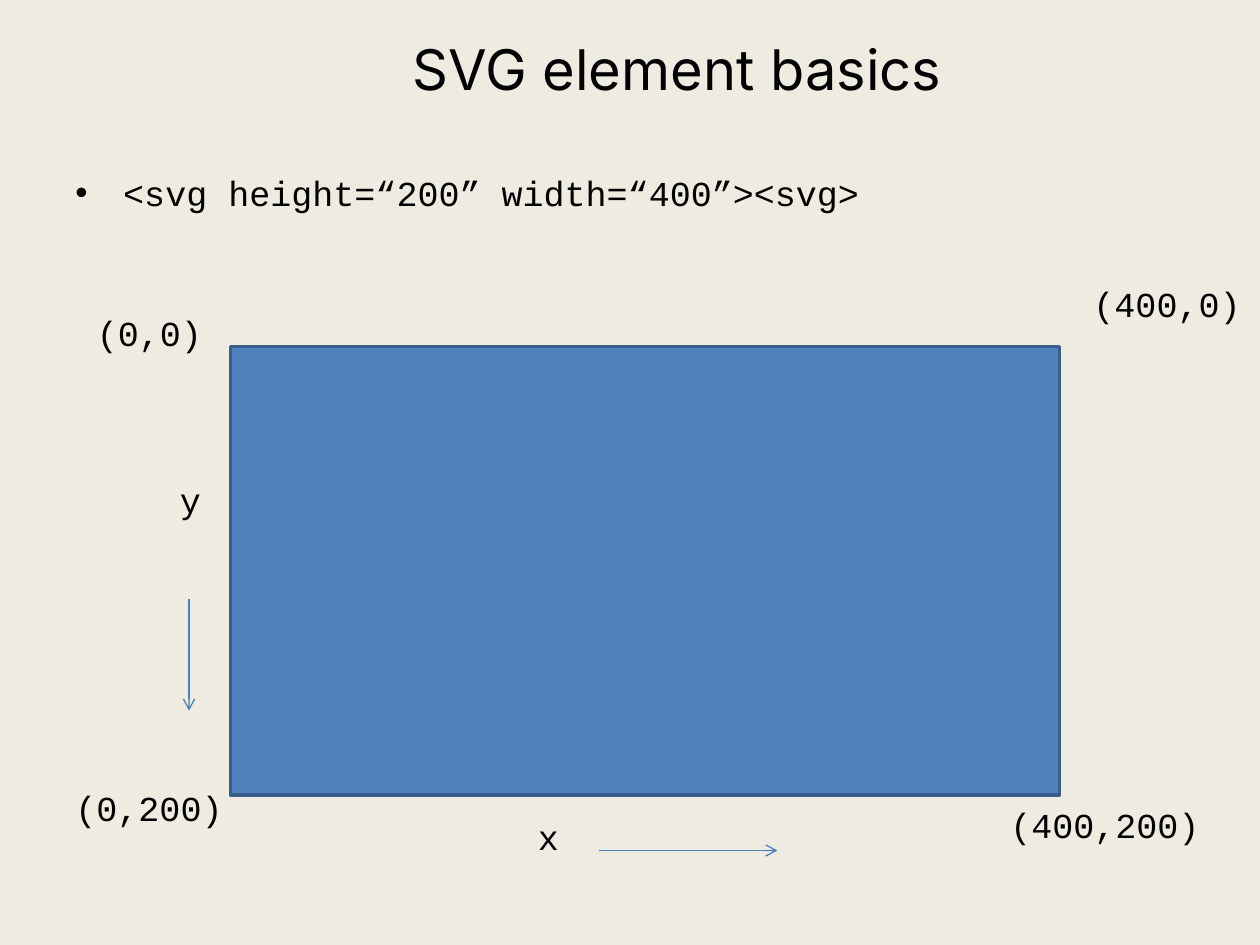
from dataclasses import dataclass
from lxml import etree
from pptx import Presentation
from pptx.dml.color import RGBColor as RGB
from pptx.enum.shapes import MSO_CONNECTOR as CONN, MSO_SHAPE as SHAPE
from pptx.enum.text import MSO_ANCHOR as ANCHOR, MSO_AUTO_SIZE as AUTO, PP_ALIGN as ALIGN
from pptx.oxml.ns import qn
from pptx.util import Inches, Pt


@dataclass(frozen=True)
class Theme:
    back: RGB = RGB.from_string("EEECE1")
    ink: RGB = RGB.from_string("000000")
    canvas: RGB = RGB.from_string("4F81BD")
    border: RGB = RGB.from_string("3A5F8C")
    arrow: RGB = RGB.from_string("4B7EBC")
    title_font: str = "Inter"
    code_font: str = "Courier New"
    title_size: Pt = Pt(32)
    code_size: Pt = Pt(20)


T = Theme()


def add_run(p, text, font, size):
    r = p.add_run()
    r.text = text
    r.font.name, r.font.size = font, size
    r.font.color.rgb = T.ink


def add_code(s, text, left, top, width, bullet=False):
    tf = s.shapes.add_textbox(Inches(left), Inches(top), Inches(width), Inches(0.89)).text_frame
    tf.word_wrap = True
    p = tf.paragraphs[0]
    p.space_before = Pt(4)
    pPr = p._p.get_or_add_pPr()
    pPr.set("marL", str(Inches(0.38)))
    pPr.set("indent", str(Inches(-0.38)))
    if bullet:
        etree.SubElement(pPr, qn("a:buFont")).set("typeface", "Arial")
        etree.SubElement(pPr, qn("a:buChar")).set("char", "•")
    else:
        etree.SubElement(pPr, qn("a:buNone"))
    add_run(p, text, T.code_font, T.code_size)


prs = Presentation()
prs.slide_width, prs.slide_height = Inches(10), Inches(7.5)
s = prs.slides.add_slide(prs.slide_layouts[5])
s.background.fill.solid()
s.background.fill.fore_color.rgb = T.back

title = s.shapes.title
title.left, title.top = Inches(1.25), Inches(0.11)
title.width, title.height = Inches(8.25), Inches(0.86)
tf = title.text_frame
tf.auto_size = AUTO.NONE
tf.vertical_anchor = ANCHOR.MIDDLE
p = tf.paragraphs[0]
p.alignment = ALIGN.CENTER
add_run(p, "SVG element basics", T.title_font, T.title_size)

add_code(s, "<svg height=“200” width=“400”><svg>", 0.5, 1.31, 9, bullet=True)

canvas = s.shapes.add_shape(SHAPE.RECTANGLE, Inches(1.83), Inches(2.75), Inches(6.58), Inches(3.56))
canvas.shadow.inherit = False
canvas.fill.solid()
canvas.fill.fore_color.rgb = T.canvas
canvas.line.color.rgb = T.border
canvas.line.width = Pt(2)

labels = [
    ("(0,0)", 0.67, 2.42, 1.08),
    ("(0,200)", 0.5, 6.19, 1.42),
    ("(400,0)", 8.58, 2.19, 1.42),
    ("(400,200)", 7.92, 6.33, 1.83),
    ("y", 1.33, 3.75, 0.5),
    ("x", 4.17, 6.42, 1.67),
]
for text, left, top, width in labels:
    add_code(s, text, left, top, width)

for ends in [(4.75, 6.75, 6.17, 6.75), (1.5, 4.75, 1.5, 5.64)]:
    axis = s.shapes.add_connector(CONN.STRAIGHT, *map(Inches, ends))
    axis.line.color.rgb = T.arrow
    axis.line.width = Pt(0.75)
    etree.SubElement(axis.line._get_or_add_ln(), qn("a:tailEnd")).set("type", "arrow")
    etree.SubElement(axis._element.spPr, qn("a:effectLst"))

prs.save("out.pptx")
